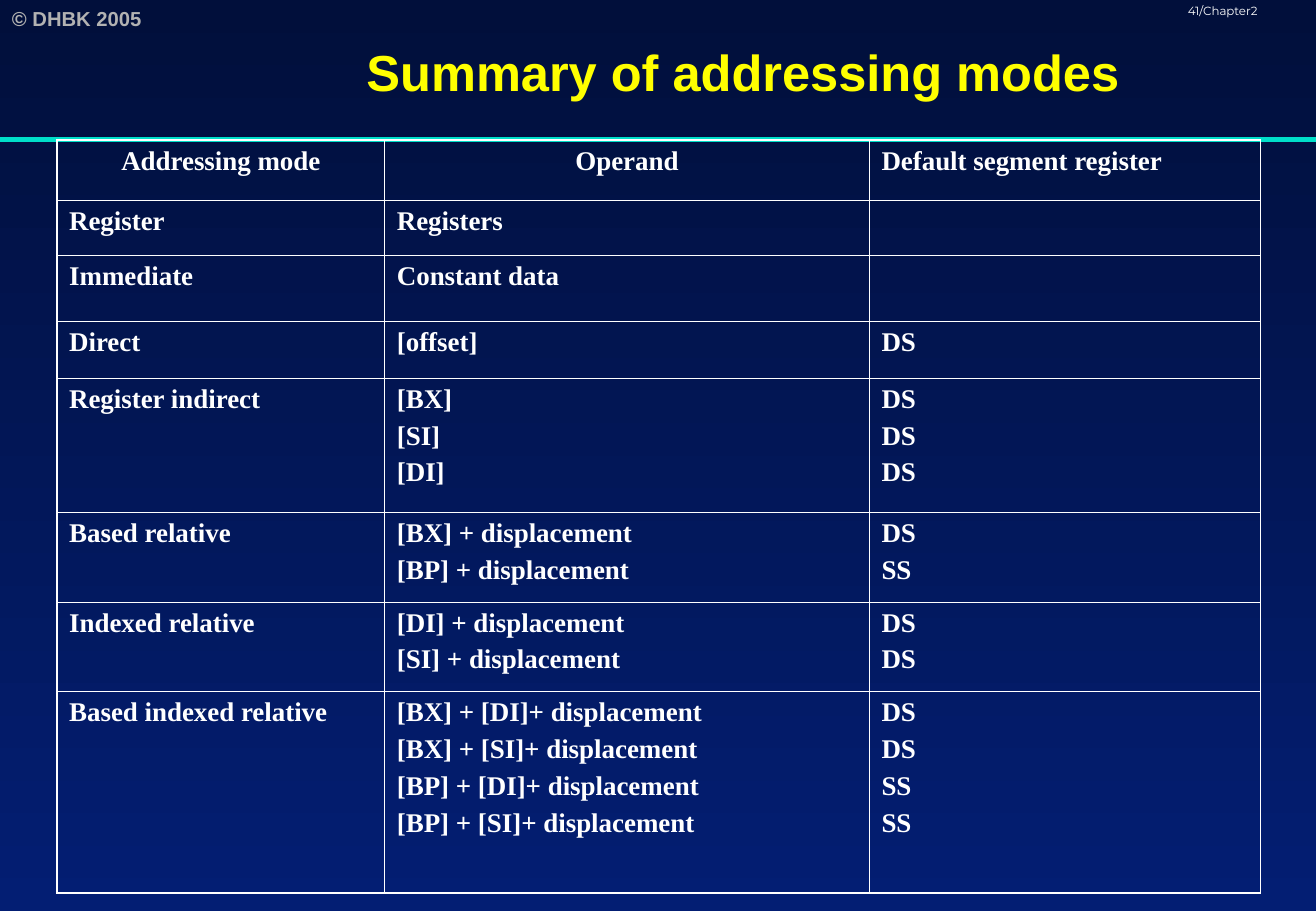
from dataclasses import dataclass

from lxml.etree import SubElement
from pptx import Presentation
from pptx.dml.color import RGBColor
from pptx.enum.shapes import MSO_CONNECTOR
from pptx.enum.text import MSO_ANCHOR, PP_ALIGN
from pptx.oxml.ns import qn
from pptx.util import Pt


@dataclass(frozen=True)
class Theme:
    top: str = "010F3B"
    bottom: str = "031E73"
    rule: str = "00DFCA"
    heading: str = "FFFF00"
    muted: str = "B2B2B2"
    text: str = "FFFFFF"
    sans: str = "Arial"
    serif: str = "Times New Roman"
    page: str = "Montserrat"
    title_size: float = 30
    table_size: float = 16
    copyright_size: float = 12
    page_size: float = 7
    outer_border: float = 1.08
    inner_border: float = 0.45


theme = Theme()


def write(paragraph, text, font, size, color, bold=True):
    run = paragraph.add_run()
    run.text = text
    run.font.name = font
    run.font.size = Pt(size)
    run.font.bold = bold
    run.font.color.rgb = RGBColor.from_string(color)


def add_border(cell, side, width):
    border = SubElement(cell._tc.get_or_add_tcPr(), qn(f"a:{side}"), w=str(Pt(width)))
    SubElement(SubElement(border, qn("a:solidFill")), qn("a:srgbClr"), val=theme.text)


presentation = Presentation()
presentation.slide_width = Pt(780.13)
presentation.slide_height = Pt(540)
slide = presentation.slides.add_slide(presentation.slide_layouts[5])

background = slide.background.fill
background.gradient()
background.gradient_angle = 270
for stop, color in zip(background.gradient_stops, (theme.top, theme.bottom)):
    stop.color.rgb = RGBColor.from_string(color)

title = slide.shapes.title
title.left, title.top, title.width, title.height = Pt(101.2), Pt(0), Pt(678.9), Pt(84.2)
title.text_frame.vertical_anchor = MSO_ANCHOR.MIDDLE
heading = title.text_frame.paragraphs[0]
heading.alignment = PP_ALIGN.CENTER
write(heading, "Summary of addressing modes", theme.sans, theme.title_size, theme.heading)

copyright_box = slide.shapes.add_textbox(Pt(0), Pt(0), Pt(113), Pt(21.6))
copyright_box.text_frame.word_wrap = True
write(copyright_box.text_frame.paragraphs[0], "© DHBK 2005",
      theme.sans, theme.copyright_size, theme.muted)

page_box = slide.shapes.add_textbox(Pt(697), Pt(0.3), Pt(113.8), Pt(18))
page_box.text_frame.word_wrap = True
page_number = page_box.text_frame.paragraphs[0]
page_number.line_spacing = 0.8
write(page_number, "41/Chapter2", theme.page, theme.page_size, theme.text, bold=False)

header_rule = slide.shapes.add_connector(
    MSO_CONNECTOR.STRAIGHT, Pt(0), Pt(82.8), Pt(780), Pt(82.8))
header_rule.line.color.rgb = RGBColor.from_string(theme.rule)
header_rule.line.width = Pt(3)
SubElement(header_rule._element.spPr, qn("a:effectLst"))

modes = [
    (35.8, ["Addressing mode"], ["Operand"], ["Default segment register"]),
    (32.5, ["Register"], ["Registers"], []),
    (39, ["Immediate"], ["Constant data"], []),
    (34, ["Direct"], ["[offset]"], ["DS"]),
    (79.5, ["Register indirect"], ["[BX]", "[SI]", "[DI]"], ["DS", "DS", "DS"]),
    (53.2, ["Based relative"], ["[BX] + displacement", "[BP] + displacement"], ["DS", "SS"]),
    (53.2, ["Indexed relative"], ["[DI] + displacement", "[SI] + displacement"], ["DS", "DS"]),
    (119.2, ["Based indexed relative"],
     ["[BX] + [DI]+ displacement", "[BX] + [SI]+ displacement",
      "[BP] + [DI]+ displacement", "[BP] + [SI]+ displacement"],
     ["DS", "DS", "SS", "SS"]),
]
column_widths = [194.3, 287.3, 231.8]
last_row, last_column = len(modes) - 1, len(column_widths) - 1

mode_table = slide.shapes.add_table(
    len(modes), len(column_widths), Pt(33.8), Pt(83),
    Pt(sum(column_widths)), Pt(sum(mode[0] for mode in modes))).table
mode_table.first_row = False
mode_table.horz_banding = False
for column, width in zip(mode_table.columns, column_widths):
    column.width = Pt(width)

for row, (height, *entries) in enumerate(modes):
    mode_table.rows[row].height = Pt(height)
    for column, lines in enumerate(entries):
        cell = mode_table.cell(row, column)
        edges = {"lnL": column == 0, "lnR": column == last_column,
                 "lnT": row == 0, "lnB": row == last_row}
        for side, is_outer in edges.items():
            add_border(cell, side, theme.outer_border if is_outer else theme.inner_border)
        cell.fill.background()
        for index, line in enumerate(lines):
            if index == 0:
                paragraph = cell.text_frame.paragraphs[0]
            else:
                paragraph = cell.text_frame.add_paragraph()
                paragraph.space_before = Pt(4)
            if row == 0 and column < last_column:
                paragraph.alignment = PP_ALIGN.CENTER
            write(paragraph, line, theme.serif, theme.table_size, theme.text)

presentation.save("out.pptx")
